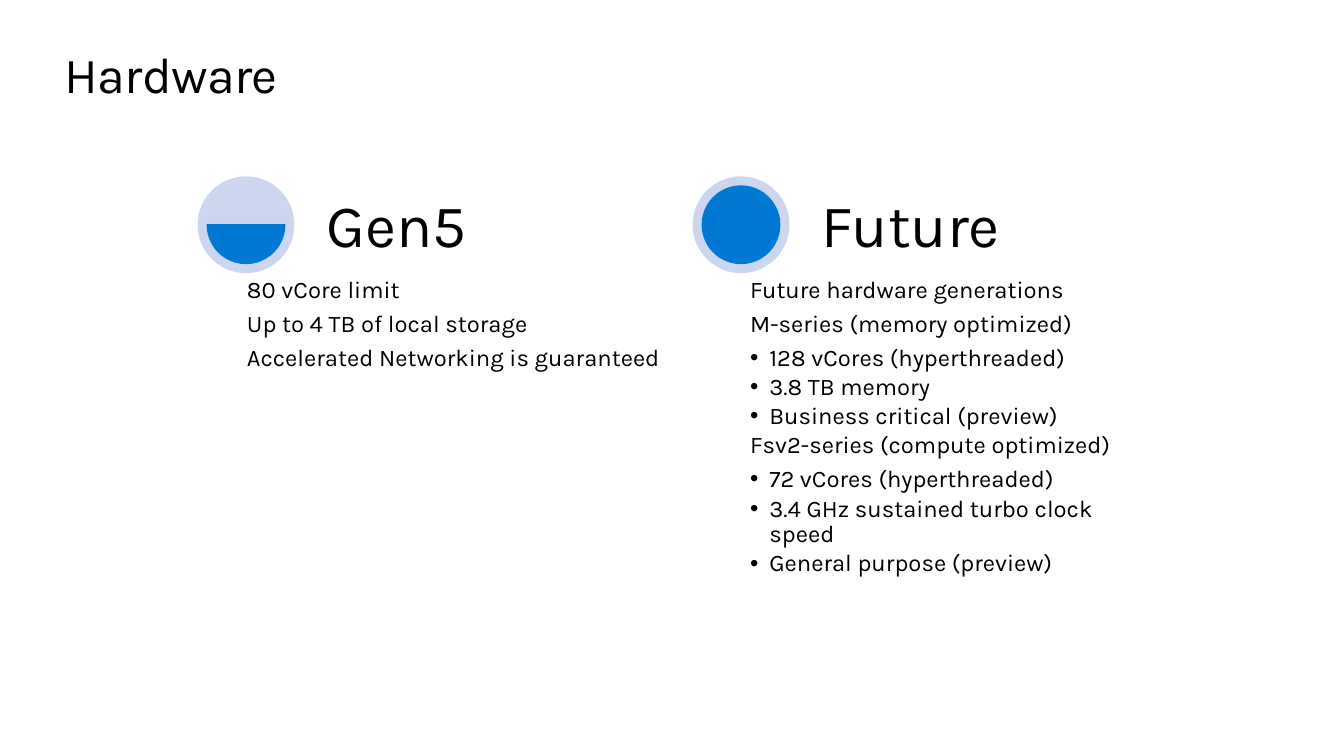
from lxml import etree
from pptx import Presentation
from pptx.dml.color import RGBColor
from pptx.enum.shapes import MSO_SHAPE as SHAPE
from pptx.enum.text import MSO_ANCHOR as ANCHOR
from pptx.oxml.ns import qn
from pptx.util import Inches, Pt

BLACK = RGBColor(0x00, 0x00, 0x00)
BLUE = RGBColor(0x00, 0x78, 0xD4)
PALE_BLUE = RGBColor(0xCC, 0xD6, 0xEF)
FONT = "Karla"
TOP, DISC, INNER = 1.75, 0.96, 0.77

# Each column: heading, disc left, body left, body width, chord angles, lines (bulleted, text)
COLUMNS = [
    ("Gen5", 1.96, 2.4, 4.27, (0, 108), [
        (False, "80 vCore limit"),
        (False, "Up to 4 TB of local storage"),
        (False, "Accelerated Networking is guaranteed"),
    ]),
    ("Future", 6.87, 7.39, 4.11, (162, 162), [
        (False, "Future hardware generations"),
        (False, "M-series (memory optimized)"),
        (True, "128 vCores (hyperthreaded)"),
        (True, "3.8 TB memory"),
        (True, "Business critical (preview)"),
        (False, "Fsv2-series (compute optimized)"),
        (True, "72 vCores (hyperthreaded)"),
        (True, "3.4 GHz sustained turbo clock speed"),
        (True, "General purpose (preview)"),
    ]),
]

prs = Presentation()
prs.slide_width, prs.slide_height = Inches(13.33), Inches(7.5)
s = prs.slides.add_slide(prs.slide_layouts[6])


def add_text(left, top, width, height, lines, size, inset=0.0, anchor=ANCHOR.TOP, line_spacing=0.9):
    """Add a text box from (bulleted, text) lines and return its text frame."""
    tf = s.shapes.add_textbox(Inches(left), Inches(top), Inches(width), Inches(height)).text_frame
    tf.word_wrap = True
    tf.vertical_anchor = anchor
    for side in ("left", "top", "right", "bottom"):
        setattr(tf, f"margin_{side}", Inches(inset))
    for i, (bulleted, text) in enumerate(lines):
        p = tf.paragraphs[0] if i == 0 else tf.add_paragraph()
        if bulleted:
            pPr = p._p.get_or_add_pPr()
            pPr.set("marL", str(Inches(0.19)))
            pPr.set("indent", str(-Inches(0.19)))
            etree.SubElement(pPr, qn("a:buFont")).set("typeface", "Arial")
            etree.SubElement(pPr, qn("a:buChar")).set("char", "•")
        p.line_spacing = line_spacing
        p.space_after = Pt(2.5 if bulleted else 5.8)
        r = p.add_run()
        r.text = text
        r.font.name, r.font.size = FONT, Pt(size)
        r.font.color.rgb = BLACK
    return tf


def add_disc(kind, left, top, size, color):
    sp = s.shapes.add_shape(kind, Inches(left), Inches(top), Inches(size), Inches(size))
    sp.shadow.inherit = False
    sp.fill.solid()
    sp.fill.fore_color.rgb = color
    sp.line.fill.background()
    return sp


title = add_text(0.64, 0.5, 12.05, 0.61, [(False, "Hardware")], 36)
title.paragraphs[0].runs[0]._r.get_or_add_rPr().set("spc", "-50")

for heading, left, body_left, body_width, angles, lines in COLUMNS:
    add_disc(SHAPE.OVAL, left, TOP, DISC, PALE_BLUE)
    margin = (DISC - INNER) / 2
    chord = add_disc(SHAPE.CHORD, left + margin, TOP + margin, INNER, BLUE)
    chord.adjustments[0], chord.adjustments[1] = angles
    chord.line.color.rgb = BLUE
    chord.line.width = Pt(0.85)
    add_text(body_left, TOP + DISC, body_width, 4.04, lines, 17, inset=0.05)
    add_text(left + 1.16, TOP, 2.84, DISC, [(False, heading)], 43, inset=0.12, anchor=ANCHOR.BOTTOM)

prs.save("out.pptx")
